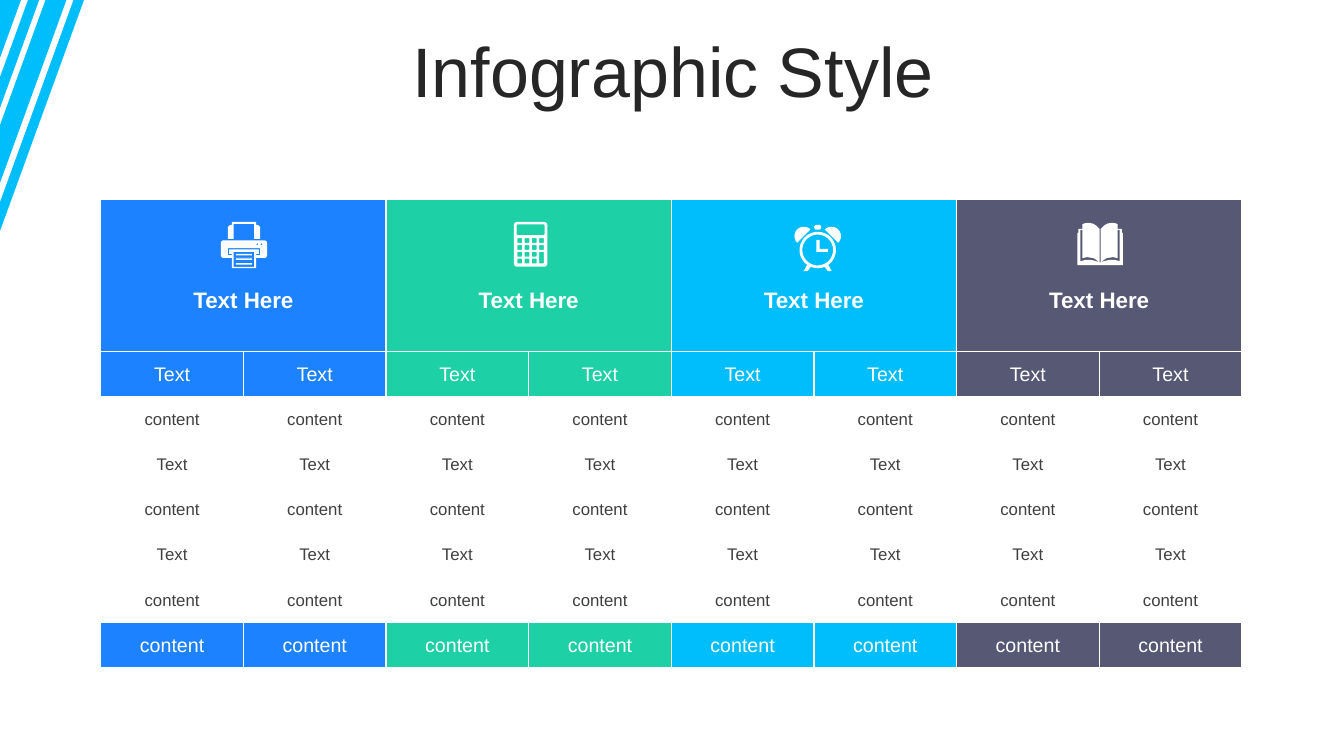
"""Build a slide with a four-group infographic table and an icon over each group."""
from dataclasses import dataclass
from math import cos, radians, sin

from lxml.etree import SubElement
from pptx import Presentation
from pptx.dml.color import RGBColor
from pptx.enum.text import MSO_ANCHOR, MSO_AUTO_SIZE, PP_ALIGN
from pptx.oxml.ns import qn
from pptx.util import Pt


@dataclass(frozen=True)
class Theme:
    font: str = "Arial"
    white: str = "FFFFFF"
    title: str = "262626"
    body: str = "404040"
    accent: str = "00BDFB"
    groups: tuple = ("1C82FF", "1ED0A6", "00BDFB", "565874")
    title_size: int = 50
    header_size: int = 16
    band_size: int = 14
    body_size: int = 12


def arc(center_x, center_y, radius, start, stop):
    steps = 1 + round(radius * 4)
    angles = [radians(start + (stop - start) * step / steps) for step in range(steps + 1)]
    return [(center_x + radius * cos(a), center_y + radius * sin(a)) for a in angles]


def rounded(left, top, right, bottom, radius=0):
    return (arc(left + radius, top + radius, radius, 180, 270)
            + arc(right - radius, top + radius, radius, 270, 360)
            + arc(right - radius, bottom - radius, radius, 0, 90)
            + arc(left + radius, bottom - radius, radius, 90, 180))


theme = Theme()
deck = Presentation()
deck.slide_width, deck.slide_height = Pt(960), Pt(540)
page = deck.slides.add_slide(deck.slide_layouts[5])

title = page.shapes.title
title.left, title.top, title.width, title.height = Pt(25.2), Pt(26.6), Pt(911.5), Pt(57)
title.text_frame.text = "Infographic Style"
title.text_frame.auto_size = MSO_AUTO_SIZE.NONE
title.text_frame.vertical_anchor = MSO_ANCHOR.MIDDLE
para = title.text_frame.paragraphs[0]
para.alignment = PP_ALIGN.CENTER
para.line_spacing = 0.8
para.font.name = theme.font
para.font.size = Pt(theme.title_size)
para.font.color.rgb = RGBColor.from_string(theme.title)

row_texts = ["Text Here", "Text", "content", "Text", "content", "Text", "content", "content"]
column_count = 2 * len(theme.groups)
frame = page.shapes.add_table(len(row_texts), column_count, Pt(72), Pt(142.7), Pt(815.2), Pt(334.6))
table = frame.table
table.first_row = table.horz_banding = False
for column in table.columns:
    column.width = Pt(101.9)
for row_index, text in enumerate(row_texts):
    is_header = row_index == 0
    is_band = row_index in (0, 1, len(row_texts) - 1)
    table.rows[row_index].height = Pt(108.5 if is_header else 32.3)
    for column_index in range(column_count):
        cell = table.cell(row_index, column_index)
        if is_header and column_index % 2 == 0:
            cell.merge(table.cell(row_index, column_index + 1))
        cell_properties = cell._tc.get_or_add_tcPr()
        for side in ("a:lnL", "a:lnR", "a:lnT", "a:lnB"):
            border = SubElement(cell_properties, qn(side), w=str(Pt(1)))
            SubElement(SubElement(border, qn("a:solidFill")), qn("a:srgbClr"), val=theme.white)
        cell.fill.solid()
        fill_color = theme.groups[column_index // 2] if is_band else theme.white
        cell.fill.fore_color.rgb = RGBColor.from_string(fill_color)
        if cell.is_spanned:
            continue
        cell.vertical_anchor = MSO_ANCHOR.MIDDLE
        if is_header:
            cell.margin_top = Pt(39)
        cell.text = text
        para = cell.text_frame.paragraphs[0]
        para.alignment = PP_ALIGN.CENTER
        para.font.name = theme.font
        para.font.bold = is_header
        size = theme.header_size if is_header else theme.band_size if is_band else theme.body_size
        para.font.size = Pt(size)
        para.font.color.rgb = RGBColor.from_string(theme.white if is_band else theme.body)

slope = 2.75
stripes = [[(left, 0), (right, 0), (0, right * slope), (0, left * slope)]
           for left, right in ((0, 15), (20, 28), (32.5, 47.5), (52.5, 60))]

printer = [
    rounded(0, 13.2, 33, 25.8, 2),
    rounded(7.9, 25.8, 25.1, 33),
    rounded(9.2, 21.5, 23.8, 32.2),
    [(5, 12.1), (5, 3.6), (6.5, 2.1), (7.9, 2.1), (7.9, 0), (25.1, 0), (25.1, 2.1),
     (26.5, 2.1), (28, 3.6), (28, 12.1), (23.8, 12.1), (23.8, 1.4), (9.2, 1.4), (9.2, 12.1)],
    [(5, 18.7), (5, 23.8), (7.9, 23.8), (7.9, 22.9), (5.9, 22.9), (5.9, 19.7),
     (27.1, 19.7), (27.1, 22.9), (25.1, 22.9), (25.1, 23.8), (28, 23.8), (28, 18.7)],
]
printer += [rounded(10.8, top, 22.2, top + 1.1) for top in (22.8, 26.1, 29.4)]
printer += [arc(center, 16, 0.75, 0, 360) for center in (26, 29)]

calculator = [rounded(0, 0, 24, 32, 2.5), rounded(2, 1.7, 22, 9.5, 1.2)]
for key_column in range(4):
    for key_row in range(4):
        if (key_column, key_row) == (3, 3):
            continue
        left, top = 2.5 + 5.2 * key_column, 11.6 + 4.9 * key_row
        height = 8.3 if (key_column, key_row) == (3, 2) else 3.4
        calculator.append(rounded(left, top, left + 3.4, top + height, 0.4))

clock_leg = [(26.6, 33), (23.8, 33), (21.6, 30.1), (24.2, 28.7)]
clock = [
    arc(16.6, 18, 13, 0, 360),
    arc(16.6, 18, 11, 0, 360),
    [(15.6, 10.8), (18, 10.8), (18, 17.2), (23.8, 17.2), (23.8, 19.4), (15.6, 19.4)],
    rounded(14.1, 0, 19.1, 3.5, 1.7),
    arc(6.7, 8.1, 6.7, 135, 315),
    arc(26.5, 8.1, 6.7, 225, 405),
    clock_leg,
    [(33.2 - x, y) for x, y in clock_leg],
]

book_half = [
    [(0, 30.2), (0, 7.2), (0.7, 7.2), (0.7, 4.3), (3.6, 4.3), (3.6, 0.9), (5.5, 0.2), (8, 0),
     (11, 0.5), (13.5, 2), (15.8, 4.3), (15.8, 28.2), (16.2, 28.2), (16.2, 30.2)],
    [(15.8, 28), (11.5, 25.2), (7, 24.5), (3.6, 25.2), (3.6, 5), (2.2, 5), (2.2, 27.4),
     (6, 26.4), (9.5, 26.4)],
]
book = book_half + [[(32.4 - x, y) for x, y in outline] for outline in book_half]

drawings = [
    (stripes, 0, 0, theme.accent),
    (printer, 157.8, 158.5, theme.white),
    (calculator, 367, 158.5, theme.white),
    (clock, 567.5, 160.6, theme.white),
    (book, 769.6, 159.2, theme.white),
]
for outlines, left, top, color in drawings:
    builder = page.shapes.build_freeform(Pt(outlines[0][0][0]), Pt(outlines[0][0][1]))
    for outline in outlines:
        corners = [(Pt(x), Pt(y)) for x, y in outline]
        if outline is not outlines[0]:
            builder.move_to(*corners[0])
        builder.add_line_segments(corners[1:], close=True)
    drawing = builder.convert_to_shape(Pt(left), Pt(top))
    drawing.shadow.inherit = False
    drawing.fill.solid()
    drawing.fill.fore_color.rgb = RGBColor.from_string(color)
    drawing.line.fill.background()

deck.save("out.pptx")
